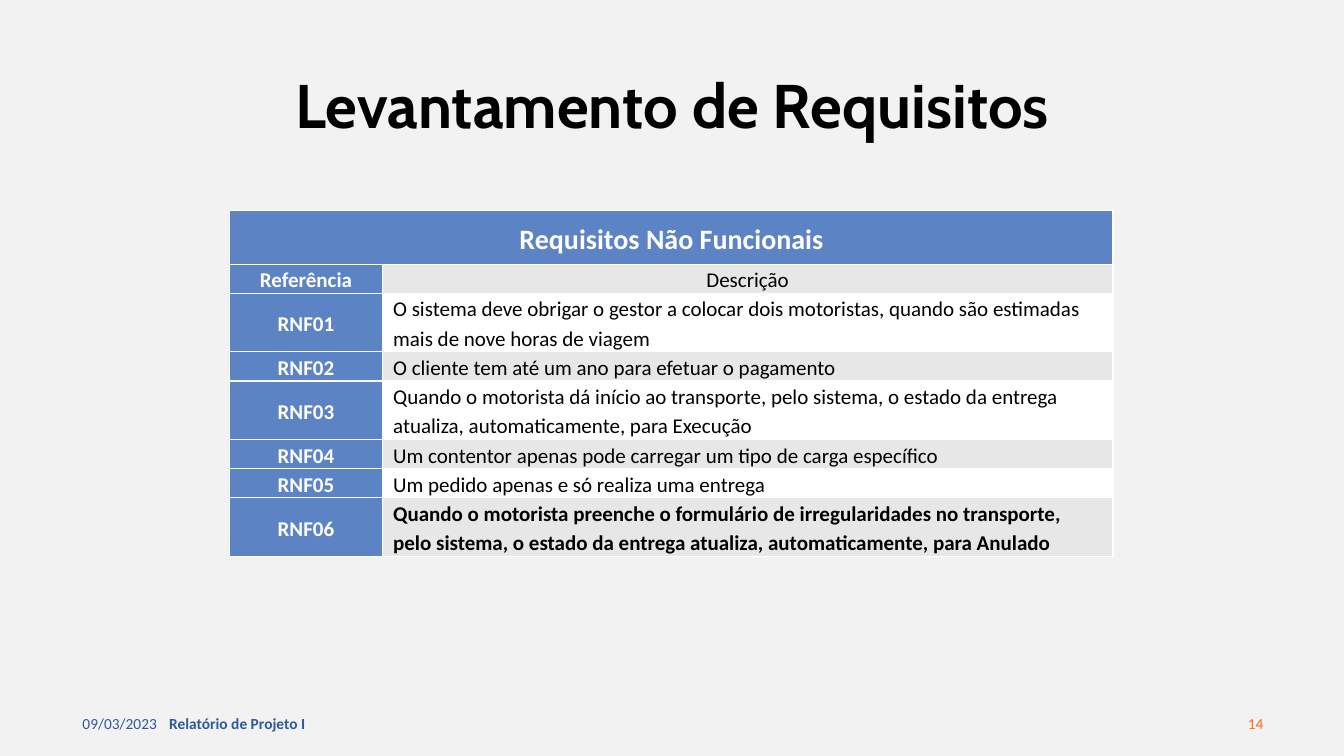
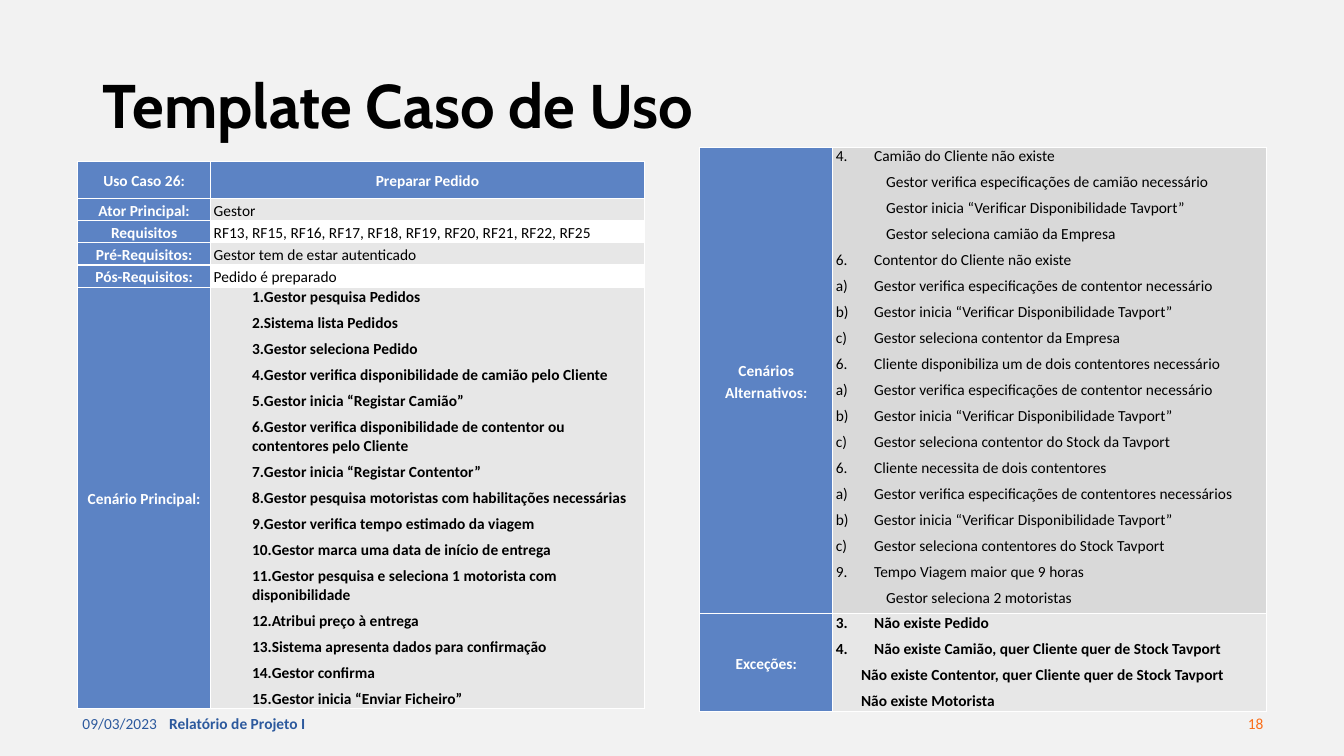
from lxml.etree import SubElement
from pptx import Presentation
from pptx.dml.color import RGBColor
from pptx.enum.text import MSO_ANCHOR, MSO_AUTO_SIZE, PP_ALIGN
from pptx.oxml import parse_xml
from pptx.oxml.ns import nsdecls, qn
from pptx.util import Inches, Pt

COLORS = {
    "background": "F2F2F2",
    "title": "000000",
    "text": "000000",
    "header": "5C83C4",
    "white": "FFFFFF",
    "band": "E7E7E7",
    "dark_band": "D9D9D9",
    "footer": "2C599D",
    "number": "FA6F1A",
}


def add_run(paragraph, text, size, color, bold=False, font="Calibri"):
    run = paragraph.add_run()
    run.text = text
    run.font.name = font
    run.font.size = Pt(size)
    run.font.bold = bold
    run.font.color.rgb = RGBColor.from_string(COLORS[color])


def fill_cell(cell, items, fill, size, spacing, after, insets, align, bold,
              anchor=MSO_ANCHOR.MIDDLE):
    """Items are (list style, text); a list style is (left, hanging, type, start)."""
    properties = cell._tc.get_or_add_tcPr()
    for side in ("lnL", "lnR", "lnT", "lnB"):
        properties.append(parse_xml(
            f'<a:{side} {nsdecls("a")} w="12700"><a:solidFill>'
            f'<a:srgbClr val="{COLORS["white"]}"/></a:solidFill></a:{side}>'))
    cell.fill.solid()
    cell.fill.fore_color.rgb = RGBColor.from_string(COLORS[fill])
    cell.vertical_anchor = anchor
    cell.margin_left = cell.margin_right = Inches(insets[0])
    cell.margin_top = cell.margin_bottom = Inches(insets[1])
    color = "white" if fill == "header" else "text"
    for index, (list_style, text) in enumerate(items):
        frame = cell.text_frame
        paragraph = frame.add_paragraph() if index else frame.paragraphs[0]
        if list_style:
            left, hanging, numbering, start = list_style
            paragraph_properties = paragraph._p.get_or_add_pPr()
            paragraph_properties.set("marL", str(Inches(left)))
            paragraph_properties.set("indent", str(Inches(-hanging)))
            if numbering:
                bullet = SubElement(paragraph_properties, qn("a:buAutoNum"))
                bullet.set("type", numbering)
                if start > 1:
                    bullet.set("startAt", str(start))
            else:
                SubElement(paragraph_properties, qn("a:buNone"))
        paragraph.alignment = align
        paragraph.line_spacing = 1.0 if list_style else spacing
        paragraph.space_after = Pt(5 if list_style else after)
        add_run(paragraph, text, size, color, bold)


# List styles: left indent, hanging indent, numbering, first number
STEP = (0.38, 0, "arabicPeriod", 1)
LETTER = (0.38, 0.38, "alphaLcParenR", 1)
FROM_3, FROM_4, FROM_6, FROM_9 = [
    (0.38, 0.38, "arabicPeriod", start) for start in (3, 4, 6, 9)]
SUBSTEP = (0.75, 0.25, None, 1)
EXCEPTION = (0.5, 0.25, None, 1)

main_steps = [
    "Gestor pesquisa Pedidos",
    "Sistema lista Pedidos",
    "Gestor seleciona Pedido",
    "Gestor verifica disponibilidade de camião pelo Cliente",
    "Gestor inicia “Registar Camião”",
    "Gestor verifica disponibilidade de contentor ou contentores pelo Cliente",
    "Gestor inicia “Registar Contentor”",
    "Gestor pesquisa motoristas com habilitações necessárias",
    "Gestor verifica tempo estimado da viagem",
    "Gestor marca uma data de início de entrega",
    "Gestor pesquisa e seleciona 1 motorista com disponibilidade",
    "Atribui preço à entrega",
    "Sistema apresenta dados para confirmação",
    "Gestor confirma",
    "Gestor inicia “Enviar Ficheiro”",
]
check_availability = "Gestor inicia “Verificar Disponibilidade Tavport”"
alternatives = [
    (FROM_4, "Camião do Cliente não existe"),
    (SUBSTEP, "Gestor verifica especificações de camião necessário"),
    (SUBSTEP, check_availability),
    (SUBSTEP, "Gestor seleciona camião da Empresa"),
    (FROM_6, "Contentor do Cliente não existe"),
    (LETTER, "Gestor verifica especificações de contentor necessário"),
    (LETTER, check_availability),
    (LETTER, "Gestor seleciona contentor da Empresa"),
    (FROM_6, "Cliente disponibiliza um de dois contentores necessário"),
    (LETTER, "Gestor verifica especificações de contentor necessário"),
    (LETTER, check_availability),
    (LETTER, "Gestor seleciona contentor do Stock da Tavport"),
    (FROM_6, "Cliente necessita de dois contentores"),
    (LETTER, "Gestor verifica especificações de contentores necessários"),
    (LETTER, check_availability),
    (LETTER, "Gestor seleciona contentores do Stock Tavport"),
    (FROM_9, "Tempo Viagem maior que 9 horas"),
    (SUBSTEP, "Gestor seleciona 2 motoristas"),
]
exceptions = [
    (FROM_3, "Não existe Pedido"),
    (FROM_3, "Não existe Camião, quer Cliente quer de Stock Tavport"),
    (EXCEPTION, "Não existe Contentor, quer Cliente quer de Stock Tavport"),
    (EXCEPTION, "Não existe Motorista"),
]

# Table rows: height, label, content, content fill
requirements = [
    (0.53, "Requisitos Não Funcionais", None, "header"),
    (0.29, "Referência", "Descrição", "band"),
    (0.58, "RNF01", "O sistema deve obrigar o gestor a colocar dois motoristas, "
     "quando são estimadas mais de nove horas de viagem", "white"),
    (0.29, "RNF02", "O cliente tem até um ano para efetuar o pagamento", "band"),
    (0.58, "RNF03", "Quando o motorista dá início ao transporte, pelo sistema, "
     "o estado da entrega atualiza, automaticamente, para Execução", "white"),
    (0.29, "RNF04", "Um contentor apenas pode carregar um tipo de carga específico",
     "band"),
    (0.29, "RNF05", "Um pedido apenas e só realiza uma entrega", "white"),
    (0.58, "RNF06", "Quando o motorista preenche o formulário de irregularidades no "
     "transporte, pelo sistema, o estado da entrega atualiza, automaticamente, "
     "para Anulado", "band"),
]
use_case = [
    (0.37, "Uso Caso 26:", "Preparar Pedido", "header"),
    (0.22, "Ator Principal:", "Gestor", "band"),
    (0.22, "Requisitos",
     "RF13, RF15, RF16, RF17, RF18, RF19, RF20, RF21, RF22, RF25", "white"),
    (0.22, "Pré-Requisitos:", "Gestor tem de estar autenticado", "band"),
    (0.22, "Pós-Requisitos:", "Pedido é preparado", "white"),
    (4.18, "Cenário Principal:", [(STEP, step) for step in main_steps], "band"),
]
scenarios = [
    (4.63, "Cenários Alternativos:", alternatives, "dark_band"),
    (0.97, "Exceções:", exceptions, "band"),
]

# Table formats: column widths, size, line spacing, space after, insets
wide = ((1.51, 7.25), 15, 1.14, 9, (0.11, 0))
compact = ((1.32, 4.3), 11, 1.15, 10, (0.03, 0))

# Slides: title, title width, title alignment, number, tables
slides = [
    ("Levantamento de Requisitos", 11.5, PP_ALIGN.CENTER, "14",
     [(2.28, 2.09, wide, requirements)]),
    ("Template Caso de Uso", 7.22, PP_ALIGN.LEFT, "18",
     [(0.77, 1.6, compact, use_case), (6.94, 1.46, compact, scenarios)]),
]

presentation = Presentation()
presentation.slide_width = Inches(13.33)
presentation.slide_height = Inches(7.5)
background = presentation.slide_master.background.fill
background.solid()
background.fore_color.rgb = RGBColor.from_string(COLORS["background"])

for title_text, title_width, title_align, number, tables in slides:
    slide = presentation.slides.add_slide(presentation.slide_layouts[5])

    # Title
    title = slide.shapes.title
    title.left, title.top = Inches(0.92), Inches(0.69)
    title.width, title.height = Inches(title_width), Inches(0.77)
    title.text_frame.auto_size = MSO_AUTO_SIZE.NONE
    title.text_frame.vertical_anchor = MSO_ANCHOR.MIDDLE
    paragraph = title.text_frame.paragraphs[0]
    paragraph.alignment = title_align
    paragraph.line_spacing = 0.9
    add_run(paragraph, title_text, 44, "title", True, "Cabin")

    # Footer
    for left, width, text, color, bold, align in (
        (0.72, 3, "09/03/2023", "footer", False, PP_ALIGN.LEFT),
        (1.58, 4.5, "Relatório de Projeto I", "footer", True, PP_ALIGN.LEFT),
        (9.63, 3, number, "number", False, PP_ALIGN.RIGHT),
    ):
        box = slide.shapes.add_textbox(
            Inches(left), Inches(6.98), Inches(width), Inches(0.4))
        box.text_frame.word_wrap = True
        box.text_frame.vertical_anchor = MSO_ANCHOR.MIDDLE
        paragraph = box.text_frame.paragraphs[0]
        paragraph.alignment = align
        add_run(paragraph, text, 11, color, bold)

    # Tables
    for left, top, table_format, rows in tables:
        widths, size, spacing, after, insets = table_format
        table = slide.shapes.add_table(
            len(rows), 2, Inches(left), Inches(top), Inches(sum(widths)),
            Inches(sum(row[0] for row in rows))).table
        table.first_row = table.horz_banding = False
        for column, width in zip(table.columns, widths):
            column.width = Inches(width)
        for index, (height, label, content, fill) in enumerate(rows):
            table.rows[index].height = Inches(height)
            label_cell, content_cell = table.cell(index, 0), table.cell(index, 1)
            banner = content is None
            if banner:
                label_cell.merge(content_cell)
            fill_cell(label_cell, [(None, label)], "header", 20 if banner else size,
                      spacing, after, (0.14, 0.07) if banner else insets,
                      PP_ALIGN.CENTER, True)
            is_list = isinstance(content, list)
            items = content if is_list else [(None, content)] if content else []
            centered = fill == "header" or content == "Descrição"
            last_row = index == len(rows) - 1
            fill_cell(content_cell, items, fill, size, spacing, after, insets,
                      PP_ALIGN.CENTER if centered else PP_ALIGN.LEFT,
                      fill == "header" or last_row,
                      MSO_ANCHOR.TOP if rows is scenarios else MSO_ANCHOR.MIDDLE)

presentation.save("out.pptx")
